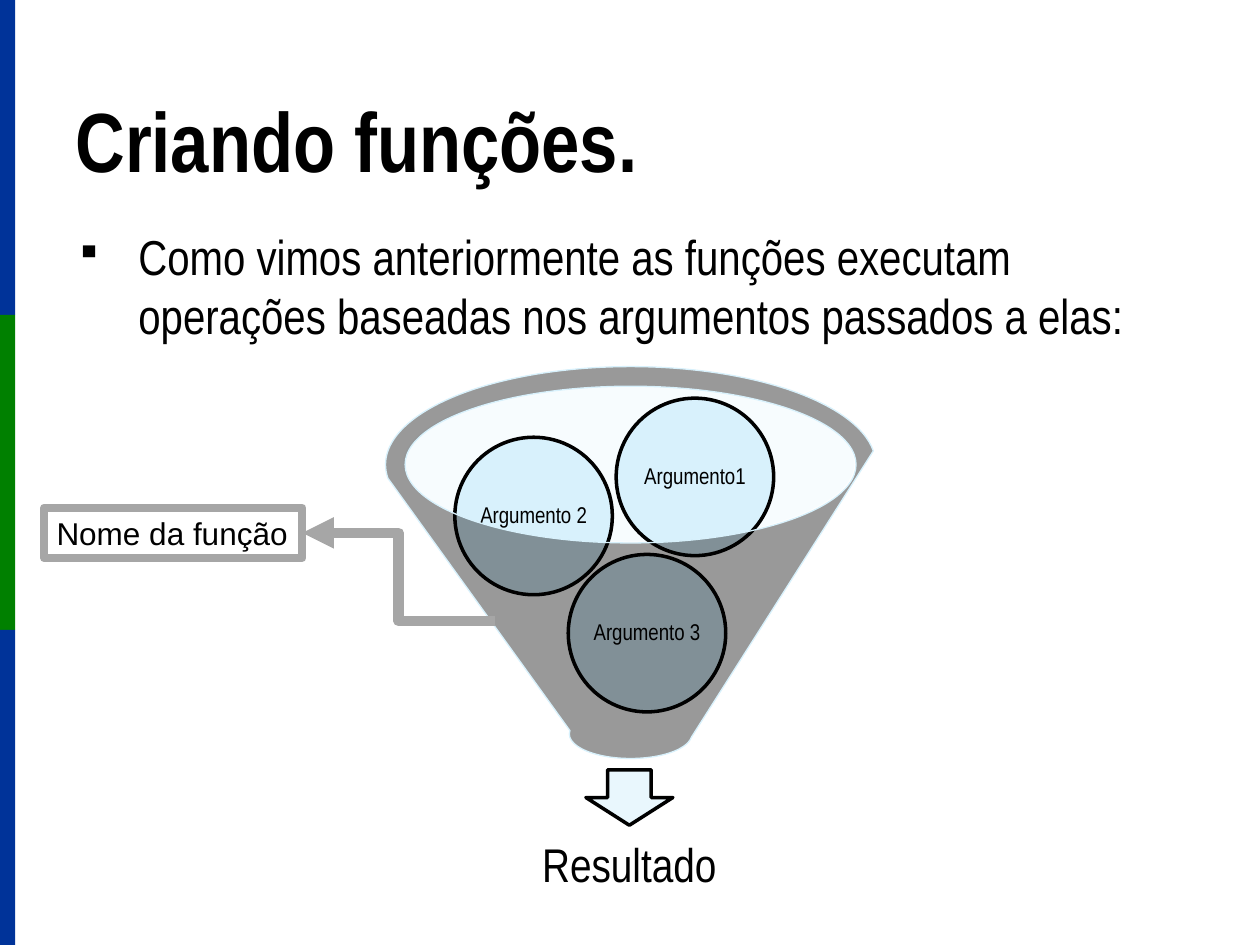
"""Builds a slide that shows a function as a funnel for its arguments."""
from lxml import etree
from pptx import Presentation, util as u
from pptx.dml.color import RGBColor
from pptx.enum import shapes, text
from pptx.oxml import ns

HUES = {"ink": "000000", "blue": "003399", "green": "008000", "glass": "EDF8FE",
        "arrow": "E9F7FD", "ball": "D8F1FC", "gray": "A6A6A6"}
KINDS = shapes.MSO_SHAPE
ALIGN = text.PP_ALIGN
ANCHOR = text.MSO_ANCHOR
COLS, ROWS = 100, 75


def hue(name):
    return RGBColor.from_string(HUES[name])


def add(node, tag, **attrs):
    return etree.SubElement(node, ns.qn(tag), attrs)


def write(frame, words, size, font="Arial Narrow", bold=False, align=ALIGN.LEFT,
          anchor=ANCHOR.TOP, inset=None, wrap=True, lead=None, before=None, bullet=None):
    frame.word_wrap = wrap
    frame.vertical_anchor = anchor
    if inset is not None:
        frame.margin_left = frame.margin_right = u.Inches(inset)
        frame.margin_top = frame.margin_bottom = u.Inches(inset)
    para = frame.paragraphs[0]
    para.alignment = align
    if lead:
        para.line_spacing = lead
    if before:
        para.space_before = u.Pt(before)
    if bullet:
        props = para._p.get_or_add_pPr()
        props.set("marL", str(u.Inches(0.5)))
        props.set("indent", str(-u.Inches(0.5)))
        add(add(props, "a:buClr"), "a:srgbClr", val=HUES["ink"])
        add(props, "a:buSzPct", val="75000")
        add(props, "a:buChar", char=bullet)
    run = para.add_run()
    run.text = words
    run.font.name, run.font.size, run.font.bold = font, u.Pt(size), bold
    run.font.color.rgb = hue("ink")


class Board:
    def __init__(self, deck):
        self.slide = deck.slides.add_slide(deck.slide_layouts[6])
        self.col = deck.slide_width / COLS
        self.row = deck.slide_height / ROWS

    def spot(self, x, y):
        return int(x * self.col), int(y * self.row)

    def shape(self, kind, x, y, wide, high, fill=None, line=None, width=2, alpha=None):
        item = self.slide.shapes.add_shape(kind, *self.spot(x, y), *self.spot(wide, high))
        item.shadow.inherit = False
        if fill:
            item.fill.solid()
            item.fill.fore_color.rgb = hue(fill)
        else:
            item.fill.background()
        if alpha:
            color = item._element.spPr.find(".//" + ns.qn("a:srgbClr"))
            add(color, "a:alpha", val=str(alpha * 1000))
        if line:
            item.line.color.rgb = hue(line)
            item.line.width = u.Pt(width)
        else:
            item.line.fill.background()
        return item

    def label(self, words, x, y, wide, high, **style):
        item = self.slide.shapes.add_textbox(*self.spot(x, y), *self.spot(wide, high))
        write(item.text_frame, words, **style)

    def elbow(self, start, end, line, width):
        item = self.slide.shapes.add_connector(
            shapes.MSO_CONNECTOR.ELBOW, *self.spot(*start), *self.spot(*end))
        item.line.color.rgb = hue(line)
        item.line.width = u.Pt(width)
        add(item.line._get_or_add_ln(), "a:tailEnd", type="triangle")
        add(item._element.spPr, "a:effectLst")


def main():
    deck = Presentation()
    deck.slide_width, deck.slide_height = u.Inches(10), u.Inches(7.5)
    board = Board(deck)
    for step, fill in enumerate(("blue", "green", "blue")):
        board.shape(KINDS.RECTANGLE, 0, step * ROWS / 3, 1.2, ROWS / 3, fill)
    board.label("Criando funções.", 5, 3, 71.8, 12.5, size=48, bold=True,
                anchor=ANCHOR.BOTTOM)
    board.label("Como vimos anteriormente as funções executam operações "
                "baseadas nos argumentos passados a elas:",
                5, 17.5, 90, 49.5, size=28, before=5.6, bullet="▪")

    board.shape(KINDS.OVAL, 32, 30.6, 35.8, 12.4, "glass", alpha=40)
    board.shape(KINDS.DOWN_ARROW, 46.5, 61.1, 6.9, 4.4, "arrow", "ink")
    middle = dict(align=ALIGN.CENTER, anchor=ANCHOR.MIDDLE, lead=0.9)
    board.label("Resultado", 33.3, 64.7, 33.3, 8.3, size=27, inset=0.21, **middle)
    for words, x, y in (("Argumento 3", 45.1, 44), ("Argumento 2", 36.1, 34.7),
                        ("Argumento1", 48.9, 31.6)):
        ball = board.shape(KINDS.OVAL, x, y, 12.5, 12.5, "ball", "ink")
        write(ball.text_frame, words, size=13, inset=0.02, wrap=False, **middle)
    board.shape(KINDS.FUNNEL, 30.6, 29.1, 38.9, 31.1, "ink", "ball", 0.75, alpha=40)

    board.elbow((39.3, 49.3), (24, 42.3), "gray", 6)
    name = board.shape(KINDS.RECTANGLE, 3.5, 40.3, 20.5, 4, line="gray", width=4.5)
    write(name.text_frame, "Nome da função", size=18, font="Arial", wrap=False)
    deck.save("out.pptx")


if __name__ == "__main__":
    main()
